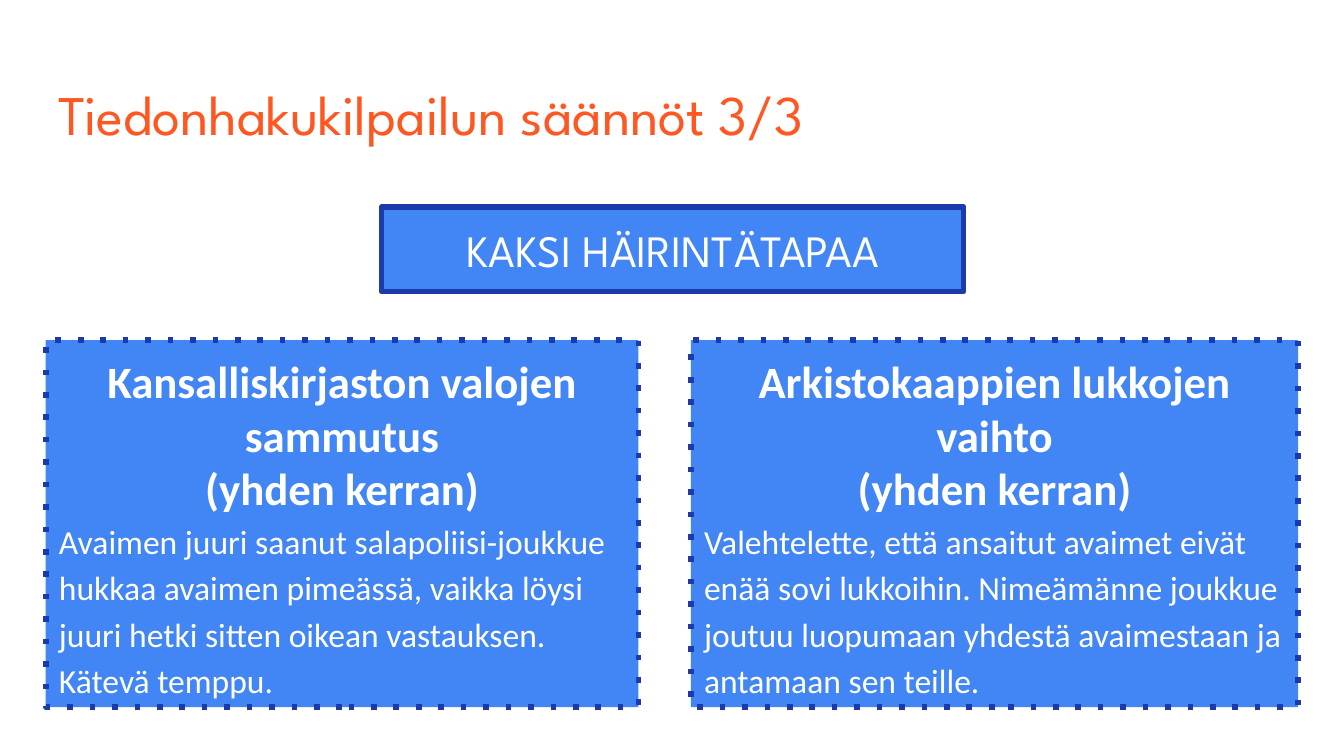
from pptx import Presentation
from pptx.dml.color import RGBColor
from pptx.enum.dml import MSO_LINE
from pptx.enum.shapes import MSO_SHAPE as Shape
from pptx.enum.text import MSO_ANCHOR as Anchor, PP_ALIGN as Align
from pptx.oxml.ns import qn
from pptx.util import Pt

ORANGE = RGBColor(0xFF, 0x57, 0x22)
BLUE = RGBColor(0x42, 0x85, 0xF4)
NAVY = RGBColor(0x1C, 0x3A, 0xA9)
WHITE = RGBColor(0xFF, 0xFF, 0xFF)
HEADING_FONT, BODY_FONT = "League Spartan", "Calibri"
INSET = 7.2

CARD_TOP, CARD_HEIGHT = 182.2, 196.6
CARDS = [
    (24.5, 317.5, "Kansalliskirjaston valojen sammutus",
     "Avaimen juuri saanut salapoliisi-joukkue hukkaa avaimen pimeässä, "
     "vaikka löysi juuri hetki sitten oikean vastauksen. Kätevä temppu."),
    (370.1, 325.4, "Arkistokaappien lukkojen vaihto",
     "Valehtelette, että ansaitut avaimet eivät enää sovi lukkoihin. "
     "Nimeämänne joukkue joutuu luopumaan yhdestä avaimestaan ja "
     "antamaan sen teille."),
]


def prepare_frame(shape, anchor):
    frame = shape.text_frame
    frame.word_wrap = True
    frame.vertical_anchor = anchor
    frame.margin_left = frame.margin_right = Pt(INSET)
    frame.margin_top = frame.margin_bottom = Pt(INSET)
    return frame


def write(para, text, size, font=BODY_FONT, color=WHITE, bold=False,
          align=Align.CENTER, spacing=1.0):
    para.alignment = align
    para.line_spacing = spacing
    span = para.add_run()
    span.text = text
    span.font.name = font
    span.font.size = Pt(size)
    span.font.bold = bold
    span.font.color.rgb = color


def add_panel(page, box, anchor, dotted=False):
    panel = page.shapes.add_shape(Shape.RECTANGLE, *map(Pt, box))
    panel.shadow.inherit = False
    panel.fill.solid()
    panel.fill.fore_color.rgb = BLUE
    panel.line.color.rgb = NAVY
    panel.line.width = Pt(3)
    if dotted:
        panel.line.dash_style = MSO_LINE.ROUND_DOT
        # Square dots with wide gaps
        next(panel.line._ln.iter(qn("a:prstDash"))).set("val", "dot")
    return prepare_frame(panel, anchor)


def add_title(page, box, text):
    title = page.shapes.add_textbox(*map(Pt, box))
    frame = prepare_frame(title, Anchor.TOP)
    write(frame.paragraphs[0], text, 30, font=HEADING_FONT, color=ORANGE,
          align=Align.LEFT)


def add_banner(page, box, text):
    frame = add_panel(page, box, Anchor.MIDDLE)
    write(frame.paragraphs[0], text, 24, font=HEADING_FONT)


def add_card(page, box, heading, body):
    frame = add_panel(page, box, Anchor.TOP, dotted=True)
    write(frame.paragraphs[0], heading, 24, bold=True)
    write(frame.add_paragraph(), "(yhden kerran)", 24, bold=True)
    write(frame.add_paragraph(), body, 18, align=Align.LEFT, spacing=1.15)


def main():
    deck = Presentation()
    deck.slide_width, deck.slide_height = Pt(720), Pt(405)
    page = deck.slides.add_slide(deck.slide_layouts[6])

    # Title and banner
    add_title(page, (24.5, 35.3, 671, 45.4), "Tiedonhakukilpailun säännöt 3/3")
    add_banner(page, (204.5, 110.9, 311.8, 45.4), "KAKSI HÄIRINTÄTAPAA")

    # Two ways to disturb the other teams
    for left, width, heading, body in CARDS:
        add_card(page, (left, CARD_TOP, width, CARD_HEIGHT), heading, body)

    deck.save("out.pptx")


if __name__ == "__main__":
    main()
